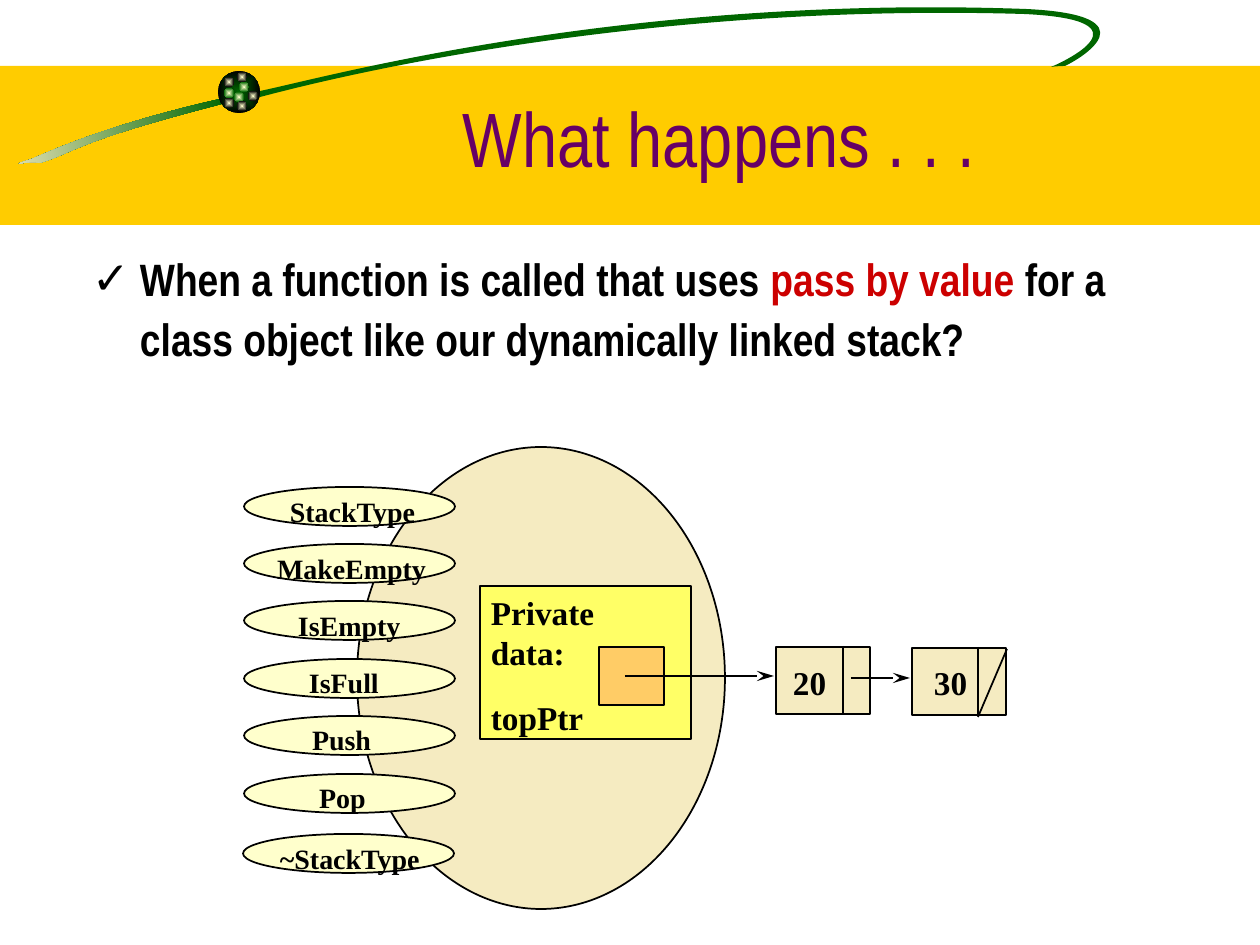
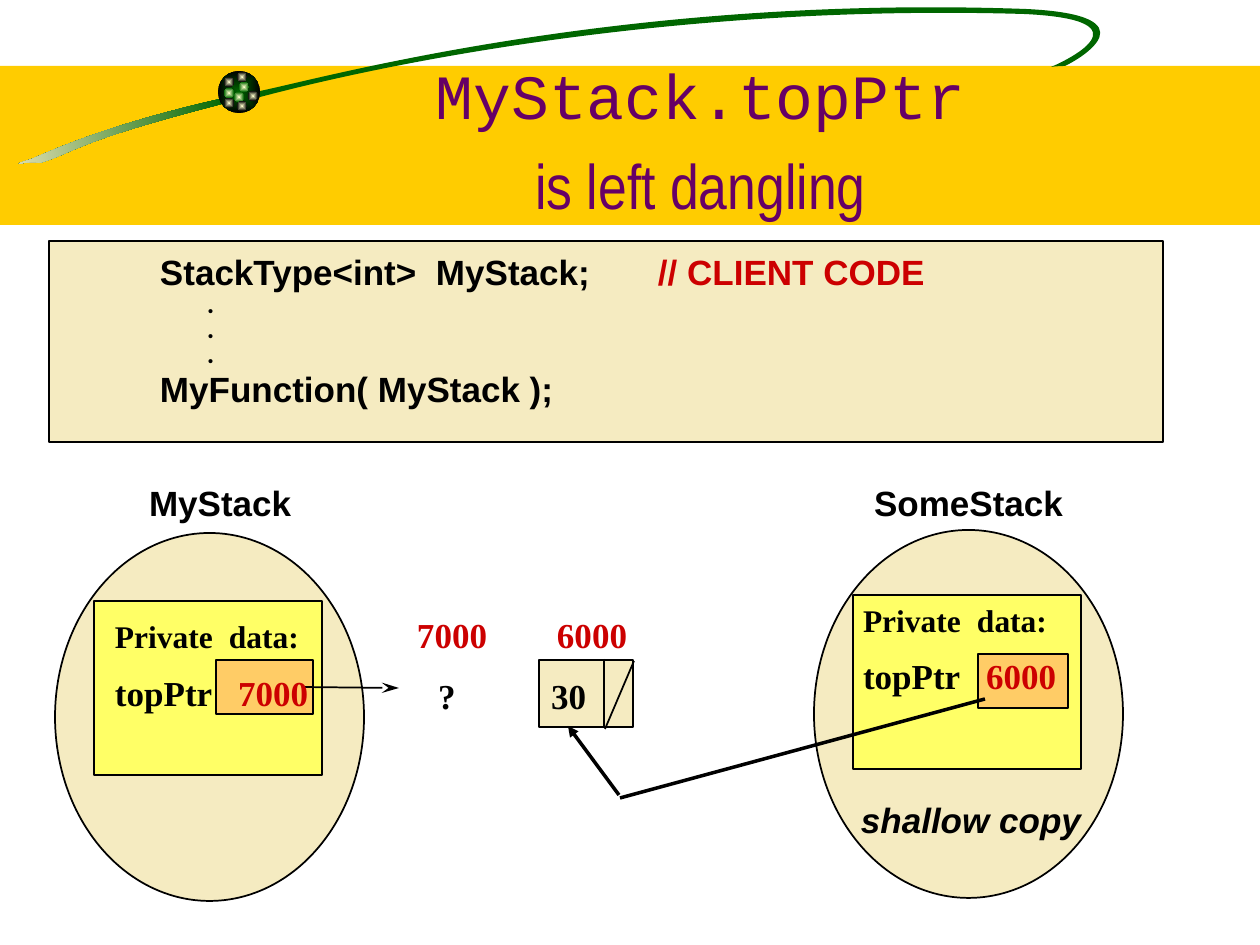
"""Build two slides on passing a linked stack by value."""
from dataclasses import dataclass, replace
from math import cos, radians, sin
from typing import NamedTuple

from lxml.etree import SubElement
from pptx import Presentation
from pptx.dml.color import RGBColor
from pptx.enum.shapes import MSO_CONNECTOR, MSO_SHAPE
from pptx.enum.text import MSO_ANCHOR, PP_ALIGN
from pptx.oxml.ns import qn
from pptx.util import Pt

SCALE = 914400 / 126
TILT = 8.5
INK = {
    "band": "FFCC00", "title": "660066", "black": "000000", "red": "CC0000",
    "sand": "F5EBC1", "cream": "FFFFCC", "yellow": "FFFF66",
    "orange": "FFCC66", "green": "006600", "white": "FFFFFF",
}
ROMAN, SANS, NARROW = "Times New Roman", "Arial", "Arial Narrow"
RECT, OVAL = MSO_SHAPE.RECTANGLE, MSO_SHAPE.OVAL
TAIL = ((224, 98), (115, 123), (62, 146), (32, 159), (1, 169), (33, 159),
        (39, 163), (72, 154), (72, 142), (226, 103), (226, 103), (224, 98),
        (224, 98))
LOOP = ((255, 92), (310, 82), (612, -6), (1026, 9), (1155, 15), (1080, 59),
        (1065, 66), (1065, 66), (1056, 66), (1051, 67), (1063, 62), (1154, 20),
        (1024, 14), (690, 4), (403, 59), (260, 97), (260, 97), (255, 92),
        (255, 92))


class Box(NamedTuple):
    """Place and size in px."""
    x: int
    y: int
    w: int
    h: int


class Spot(NamedTuple):
    """Small light on the ball."""
    x: int
    y: int
    edge: str


class Member(NamedTuple):
    """Function oval with the left edge of its label."""
    name: str
    x: int
    y: int
    left: int
    w: int


@dataclass(frozen=True)
class Run:
    """Text in one style."""
    text: str
    size: float = 20
    font: str = ROMAN
    ink: str = "black"
    bold: bool = True
    slant: bool = False


@dataclass(frozen=True)
class Para:
    """Runs with their spacing."""
    runs: tuple[Run, ...]
    gap: float = 0
    lead: float = 0
    left: int = 0
    tabs: tuple[int, ...] = ()
    mark: str = ""
    align: PP_ALIGN = PP_ALIGN.LEFT


SPOTS = (Spot(239, 82, "green"), Spot(224, 77, "black"),
         Spot(224, 88, "green"), Spot(234, 92, "green"),
         Spot(248, 91, "black"), Spot(237, 101, "black"),
         Spot(224, 98, "black"), Spot(237, 72, "black"))
NAMES = (("StackType", 280, 147), ("MakeEmpty", 267, 169),
         ("IsEmpty", 288, 122), ("IsFull", 299, 89), ("Push", 302, 78),
         ("Pop", 309, 67))
MEMBERS = tuple(Member(name, 244, 487 + 287 * i // 5, left, w)
                for i, (name, left, w) in enumerate(NAMES)
                ) + (Member("~StackType", 243, 834, 270, 161),)


def emu(px: float) -> int:
    """Turn px into EMU."""
    return round(px * SCALE)


def tint(name: str) -> RGBColor:
    """Look up a colour."""
    return RGBColor.from_string(INK[name])


def blend(shape, start: str, end: str, angle: int | None = None) -> None:
    """Fill a shape with a linear or centred gradient."""
    shape.fill.gradient()
    for stop, name in zip(shape.fill.gradient_stops, (start, end)):
        stop.color.rgb = tint(name)
    if angle is not None:
        shape.fill.gradient_angle = angle
        return
    grad = shape.element.spPr.find(qn("a:gradFill"))
    grad.remove(grad.find(qn("a:lin")))
    route = SubElement(grad, qn("a:path"), {"path": "rect"})
    SubElement(route, qn("a:fillToRect"), dict.fromkeys("ltrb", "50000"))


def draw(slide, kind: MSO_SHAPE, box: Box, fill: str, edge: bool = True):
    """Add a filled shape, outlined in black by default."""
    shape = slide.shapes.add_shape(kind, *map(emu, box))
    shape.shadow.inherit = False
    shape.fill.solid()
    shape.fill.fore_color.rgb = tint(fill)
    if edge:
        shape.line.color.rgb = tint("black")
        shape.line.width = Pt(1)
    else:
        shape.line.fill.background()
    return shape


def swoosh(slide, box: Box, knots: tuple[tuple[int, int], ...]):
    """Add a tilted outline of cubic curves through the given knots."""
    x, y, w, h = map(emu, box)
    pen = slide.shapes.build_freeform(x, y)
    pen.add_line_segments(((x + w, y), (x + w, y + h), (x, y + h)))
    shape = pen.convert_to_shape()
    shape.rotation = 360 - TILT
    shape.shadow.inherit = False
    shape.line.fill.background()
    route = shape.element.spPr.find(".//" + qn("a:path"))
    for step in list(route):
        route.remove(step)
    turn = radians(TILT)
    spots = []
    for left, top in knots:
        dx, dy = left - box.x - box.w / 2, top - box.y - box.h / 2
        spots.append({
            "x": str(emu(box.w / 2 + dx * cos(turn) - dy * sin(turn))),
            "y": str(emu(box.h / 2 + dx * sin(turn) + dy * cos(turn)))})
    SubElement(SubElement(route, qn("a:moveTo")), qn("a:pt"), spots[0])
    for i in range(1, len(spots), 3):
        curve = SubElement(route, qn("a:cubicBezTo"))
        for spot in spots[i:i + 3]:
            SubElement(curve, qn("a:pt"), spot)
    SubElement(route, qn("a:close"))
    return shape


def link(slide, start: tuple[int, int], end: tuple[int, int],
         head: str = "", width: int = 1, long: str = "med") -> None:
    """Add a straight line, with an arrowhead if named."""
    line = slide.shapes.add_connector(
        MSO_CONNECTOR.STRAIGHT, *map(emu, start + end))
    line.line.color.rgb = tint("black")
    line.line.width = Pt(width)
    props = line.element.spPr
    if head:
        SubElement(props.find(qn("a:ln")), qn("a:tailEnd"),
                   {"type": head, "len": long})
    SubElement(props, qn("a:effectLst"))


def write(slide, box: Box, *paras: Para, low: bool = False,
          pad: tuple[int, int] = (10, 5)) -> None:
    """Add a text box run by run."""
    frame = slide.shapes.add_textbox(*map(emu, box)).text_frame
    frame.word_wrap = True
    frame.margin_left = frame.margin_right = emu(pad[0])
    frame.margin_top = frame.margin_bottom = emu(pad[1])
    frame.vertical_anchor = MSO_ANCHOR.BOTTOM if low else MSO_ANCHOR.TOP
    for i, para in enumerate(paras):
        line = frame.add_paragraph() if i else frame.paragraphs[0]
        line.alignment = para.align
        if para.lead:
            line.line_spacing = Pt(para.lead)
        if para.gap:
            line.space_before = Pt(para.gap)
        props = line._p.get_or_add_pPr()
        props.set("marL", str(emu(para.left)))
        if para.mark:
            props.set("indent", str(-emu(para.left)))
            SubElement(props, qn("a:buFont"), {"typeface": SANS})
            SubElement(props, qn("a:buChar"), {"char": para.mark})
        if para.tabs:
            stops = SubElement(props, qn("a:tabLst"))
            for tab in para.tabs:
                SubElement(stops, qn("a:tab"),
                           {"pos": str(emu(tab)), "algn": "l"})
        for item in para.runs:
            run = line.add_run()
            run.text = item.text
            run.font.size = Pt(item.size)
            run.font.name = item.font
            run.font.bold = item.bold
            run.font.italic = item.slant
            run.font.color.rgb = tint(item.ink)


def node(slide, x: int, y: int, split: int, last: bool = False) -> None:
    """Add a list node, slashed when it is the last."""
    draw(slide, RECT, Box(x, y, 94, 67), "sand")
    link(slide, (x + split, y - 1), (x + split, y + 68))
    if last:
        link(slide, (x + 95, y + 1), (x + 66, y + 69))


def stack(slide, x: int, y: int, data: Box, slot: Box) -> None:
    """Add an object with its data and pointer slot."""
    draw(slide, OVAL, Box(x, y, 309, 368), "sand")
    draw(slide, RECT, data, "yellow")
    draw(slide, RECT, slot, "orange")


def fields(slide, box: Box, address: str, *extra: Run) -> None:
    """Write the private data of an object."""
    write(slide, box,
          Para((Run("Private\tdata:", 18), *extra), tabs=(114, 302, 442)),
          Para((Run("topPtr\t"), Run(address, ink="red")), gap=9, tabs=(123,)))


def start(deck, box: Box, *lines: Para):
    """Add a slide with the band, the swoosh, the ball and a title."""
    slide = deck.slides.add_slide(deck.slide_layouts[6])
    draw(slide, RECT, Box(0, 66, 1260, 159), "band", False)
    blend(swoosh(slide, Box(-4, 115, 232, 38), TAIL), "green", "sand", 180)
    loop = swoosh(slide, Box(253, -19, 902, 137), LOOP)
    loop.fill.solid()
    loop.fill.fore_color.rgb = tint("green")
    blend(draw(slide, OVAL, Box(218, 71, 42, 42), "green", False),
          "green", "black")
    for x, y, edge in SPOTS:
        blend(draw(slide, OVAL, Box(x, y, 10, 10), "cream", False),
              "cream", edge)
    veil = draw(slide, RECT, Box(93, 260, 154, 685), "white", False)
    SubElement(veil.element.spPr.find(".//" + qn("a:srgbClr")),
               qn("a:alpha"), {"val": "50000"})
    write(slide, box, *(replace(p, align=PP_ALIGN.CENTER) for p in lines),
          low=True, pad=(13, 6))
    return slide


def happen(deck) -> None:
    """Build the slide that asks the question."""
    head = Run("What happens . . .", 44, NARROW, "title", False)
    slide = start(deck, Box(116, 21, 1207, 168), Para((head,)))
    plain = Run("When a function is called that uses ", 25.9, NARROW)
    write(slide, Box(79, 240, 1070, 165), Para((
        plain, replace(plain, text="pass by value", ink="red"),
        replace(plain, text=" for a class object like our dynamically "
                "linked stack?")), lead=34.3, left=48, mark="✓"), pad=(13, 6))
    draw(slide, OVAL, Box(357, 447, 368, 462), "sand")
    for name, x, y, left, w in MEMBERS:
        draw(slide, OVAL, Box(x, y, 211, 39), "cream")
        write(slide, Box(left, y + 2, w + 4, 44), Para((Run(name, 16),)))
    draw(slide, RECT, Box(480, 586, 211, 153), "yellow")
    write(slide, Box(481, 587, 190, 193), Para((Run("Private data:", 19),)),
          Para((Run("topPtr", 19),), gap=14.5))
    draw(slide, RECT, Box(599, 647, 65, 58), "orange")
    link(slide, (625, 676), (774, 676), "stealth", long="lg")
    node(slide, 776, 647, 67)
    node(slide, 912, 648, 66, True)
    link(slide, (851, 678), (910, 678), "stealth", long="lg")
    write(slide, Box(775, 657, 213, 50),
          Para((Run("\t20\t30", 19),), tabs=(8, 149)))


def dangle(deck) -> None:
    """Build the slide that shows the shallow copy."""
    name = Run("MyStack.topPtr", 36, "Courier New", "title", False)
    slide = start(deck, Box(97, 70, 1207, 158), Para((name,)), Para((
        replace(name, text="is left dangling", font=NARROW),), gap=8))
    draw(slide, RECT, Box(49, 241, 1114, 201), "sand")
    node(slide, 539, 660, 65, True)
    write(slide, Box(401, 669, 205, 52),
          Para((Run("\t?\t30"),), tabs=(27, 140)))
    code = Run("StackType<int>\tMyStack;\t", font=SANS)
    dot = Para((Run(".", 12, "Montserrat"),), left=48)
    write(slide, Box(147, 244, 800, 173),
          Para((code, replace(code, text="// CLIENT CODE", ink="red")),
               tabs=(276, 498)),
          dot, dot, dot, Para((replace(code, text="MyFunction( MyStack );"),)),
          pad=(13, 6))
    stack(slide, 55, 533, Box(94, 601, 228, 174), Box(216, 660, 97, 54))
    stack(slide, 814, 530, Box(853, 595, 228, 174), Box(978, 654, 90, 54))
    link(slide, (302, 687), (399, 688), "stealth", long="lg")
    fields(slide, Box(853, 596, 396, 146), "6000")
    write(slide, Box(136, 475, 951, 54), Para((
        replace(code, text="MyStack\tSomeStack"),), tabs=(725,)), pad=(13, 6))
    link(slide, (985, 699), (620, 798), width=2)
    link(slide, (619, 795), (568, 726), "triangle", 2)
    write(slide, Box(848, 792, 250, 54), Para((
        replace(code, text="shallow copy", slant=True),)), pad=(13, 6))
    fields(slide, Box(105, 609, 568, 151), "7000",
           Run("\t7000\t6000", ink="red"))


def main() -> None:
    """Build and save the deck."""
    deck = Presentation()
    deck.slide_width, deck.slide_height = emu(1260), emu(945)
    happen(deck)
    dangle(deck)
    deck.save("out.pptx")


if __name__ == "__main__":
    main()
